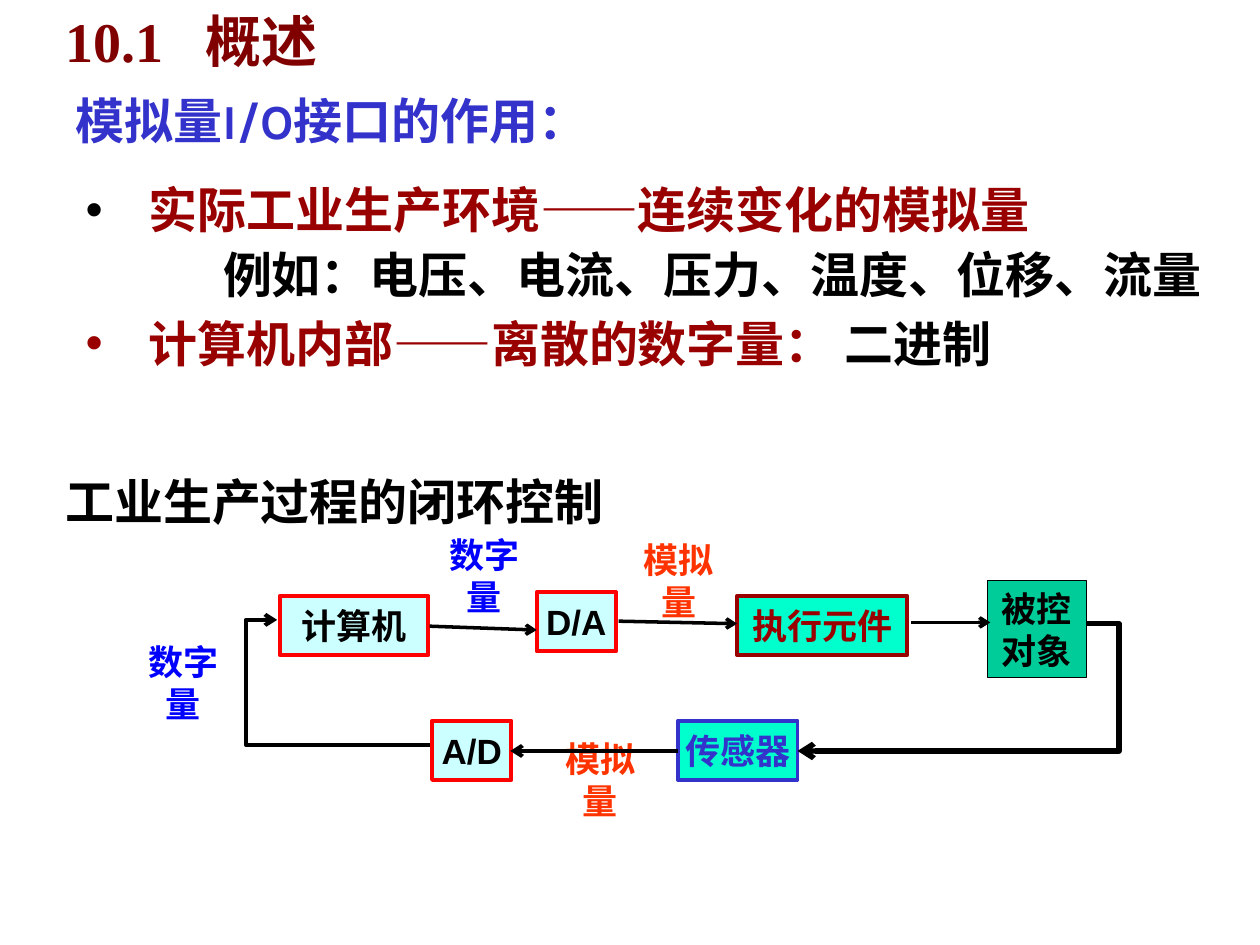
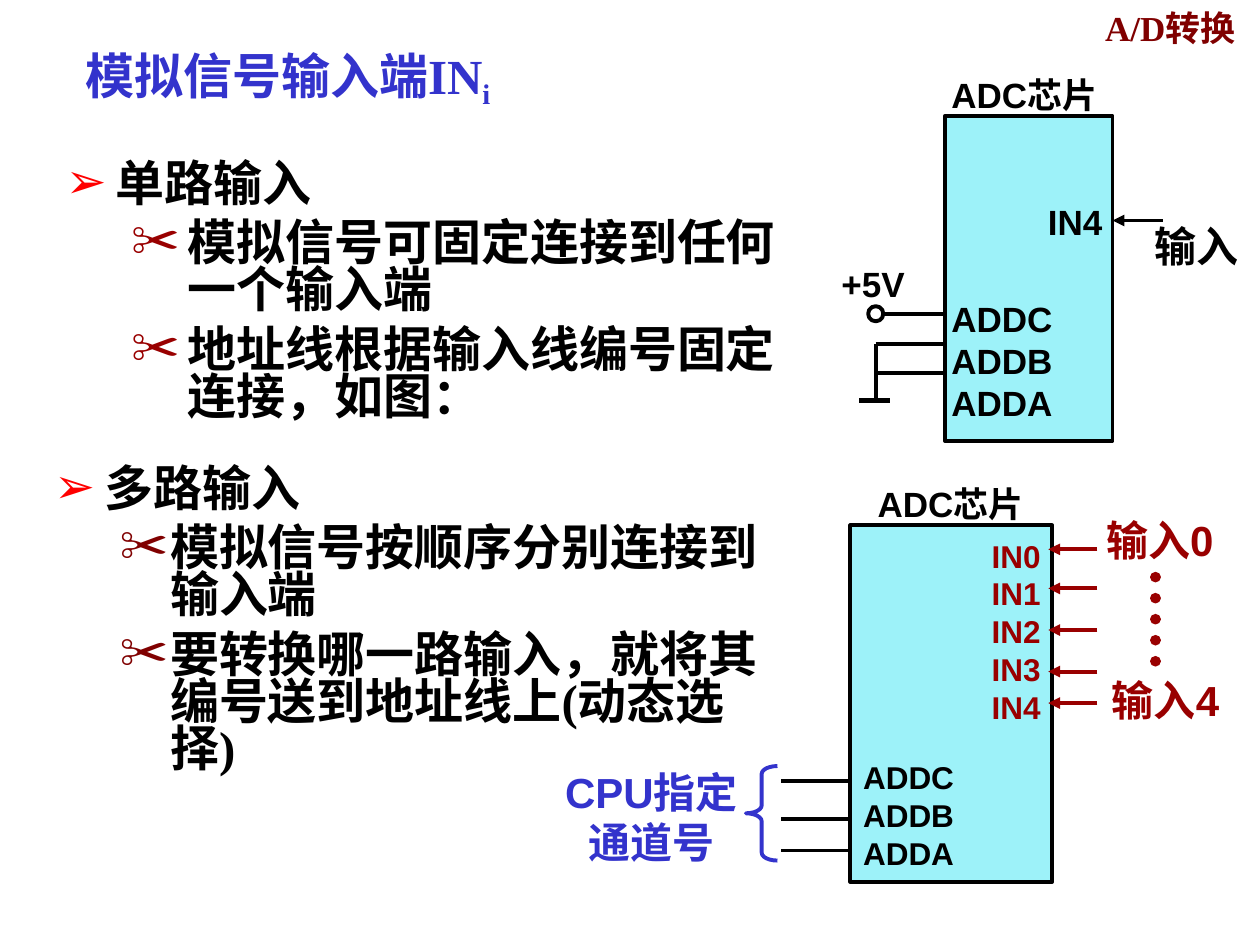
from dataclasses import dataclass, replace
from lxml.etree import SubElement
from pptx import Presentation
from pptx.dml.color import RGBColor as Rgb
from pptx.enum.dml import MSO_LINE as Dash
from pptx.enum.shapes import MSO_CONNECTOR as Link, MSO_SHAPE as Form
from pptx.enum.text import MSO_ANCHOR as Anchor, MSO_AUTO_SIZE as Auto, PP_ALIGN as Align
from pptx.oxml.ns import qn
from pptx.util import Pt

PX = 9144  # EMU in one px, 100 px to the inch


@dataclass(frozen=True)
class Theme:
    black: str = "000000"
    white: str = "FFFFFF"
    maroon: str = "800000"
    dark: str = "990000"
    red: str = "FF0000"
    orange: str = "FF3300"
    blue: str = "0000FF"
    navy: str = "3333CC"
    pale: str = "CCFFFF"
    mint: str = "00FFCC"
    green: str = "00CC99"
    aqua: str = "9DF2F9"
    serif: str = "Times New Roman"
    sans: str = "Arial"
    body: str = "Karla"
    huge: int = 32
    big: int = 28
    mid: int = 24
    base: int = 20
    small: int = 18
    thin: float = 2
    line: float = 2.25
    bold: float = 3


T = Theme()


@dataclass(frozen=True)
class Look:
    """Paragraph style; left, hang and tab are in px, gap is in points."""
    size: int = T.base
    color: str = T.black
    font: str = T.sans
    align: Align = Align.LEFT
    left: int = 0
    hang: int = 0
    tab: int = 0
    mark: str = ""
    tint: str = T.black
    lead: float = 1.0
    gap: float = 0
    level: int = 0


TAG = Look(align=Align.CENTER)
HEAD = Look(T.big, T.navy, T.body)
LIST = Look(T.big, font=T.body, left=50, hang=50, mark="•", lead=1.1)
ITEM = Look(T.big, font=T.serif, left=40, hang=40, mark="➢", tint=T.red, lead=0.8, gap=7)


class Deck:
    def __init__(self):
        self.prs = Presentation()
        self.prs.slide_width, self.prs.slide_height = 1000 * PX, 750 * PX

    def page(self, title, box, look):
        self.slide = self.prs.slides.add_slide(self.prs.slide_layouts[3])
        self.holder(0, box, [(title, look)])

    def holder(self, idx, box, paras):
        """Place a template placeholder and fill it."""
        item = self.slide.placeholders[idx]
        item.left, item.top, item.width, item.height = (n * PX for n in box)
        frame = item.text_frame
        frame.auto_size = Auto.NONE
        frame.vertical_anchor = Anchor.TOP
        self.put(frame, paras)

    def put(self, frame, paras):
        """Fill a frame from (runs, look) pairs; runs are text or (text, colour) pairs."""
        for i, (runs, look) in enumerate(paras):
            para = frame.add_paragraph() if i else frame.paragraphs[0]
            self.style(para, look, look.gap if i else 0)
            if isinstance(runs, str):
                runs = [(runs, None)]
            for text, color in runs:
                run = para.add_run()
                run.text = text
                if color:
                    run.font.color.rgb = Rgb.from_string(color)

    def style(self, para, look, gap):
        prop = para._p.get_or_add_pPr()
        if look.left:
            prop.set("marL", str(look.left * PX))
            prop.set("indent", str(-look.hang * PX))
            if look.mark:
                tint = SubElement(prop, qn("a:buClr"))
                SubElement(tint, qn("a:srgbClr"), val=look.tint)
                SubElement(prop, qn("a:buChar"), char=look.mark)
            else:
                SubElement(prop, qn("a:buNone"))
        if look.tab:
            tabs = SubElement(prop, qn("a:tabLst"))
            SubElement(tabs, qn("a:tab"), pos=str(look.tab * PX), algn="l")
        para.level = look.level
        para.alignment = look.align
        para.line_spacing = look.lead
        para.space_before = Pt(gap)
        font = para.font
        font.name, font.size, font.bold = look.font, Pt(look.size), True
        font.color.rgb = Rgb.from_string(look.color)

    def inset(self, frame, side, top):
        frame.margin_left = frame.margin_right = side * PX
        frame.margin_top = frame.margin_bottom = top * PX

    def text(self, box, text, look, pad=False, anchor=Anchor.TOP, wrap=True):
        """Add a text box, one paragraph a line, and return its frame."""
        frame = self.slide.shapes.add_textbox(*(n * PX for n in box)).text_frame
        frame.word_wrap = wrap
        frame.vertical_anchor = anchor
        self.inset(frame, *((10, 5) if pad else (0, 0)))
        self.put(frame, [(row, look) for row in text.split("\n")])
        return frame

    def shape(self, form, box, fill, edge, width=T.line):
        item = self.slide.shapes.add_shape(form, *(n * PX for n in box))
        item.shadow.inherit = False
        if fill:
            item.fill.solid()
            item.fill.fore_color.rgb = Rgb.from_string(fill)
        else:
            item.fill.background()
        item.line.color.rgb = Rgb.from_string(edge)
        item.line.width = Pt(width)
        return item

    def node(self, box, text, fill, edge, color=T.black, width=T.line, wrap=False):
        frame = self.shape(Form.RECTANGLE, box, fill, edge, width).text_frame
        frame.word_wrap = wrap
        frame.vertical_anchor = Anchor.MIDDLE
        self.inset(frame, *((10, 5) if wrap else (0, 0)))
        self.put(frame, [(text, replace(TAG, color=color))])

    def wire(self, start, end, width=T.line, color=T.black, tip="", turn=None, dots=False):
        """Draw a line; turn is the x of the upright part of an elbow."""
        kind = Link.STRAIGHT if turn is None else Link.ELBOW
        item = self.slide.shapes.add_connector(kind, *(n * PX for n in (*start, *end)))
        item.line.color.rgb = Rgb.from_string(color)
        item.line.width = Pt(width)
        prop = item._element.spPr
        line = prop.find(qn("a:ln"))
        if dots:
            item.line.dash_style = Dash.ROUND_DOT
            line.set("cap", "rnd")
        if tip:
            SubElement(line, qn("a:tailEnd"), type=tip)
        if turn is not None:
            bend = round(100000 * (turn - start[0]) / (end[0] - start[0]))
            guides = prop.find(qn("a:prstGeom")).find(qn("a:avLst"))
            SubElement(guides, qn("a:gd"), name="adj1", fmla=f"val {bend}")
        SubElement(prop, qn("a:effectLst"))


def loop(deck):
    """Slide 1: purpose of analog I/O and the closed control loop."""
    deck.page("10.1\t概述", (42, 0, 417, 58), Look(T.huge, T.maroon, T.serif, tab=111))
    deck.text((50, 67, 467, 57), "模拟量I/O接口的作用：", HEAD, pad=True)
    deck.holder(1, (58, 133, 942, 113), [
        ("实际工业生产环境——连续变化的模拟量", replace(LIST, color=T.dark)),
        ("例如：电压、电流、压力、温度、位移、流量", replace(LIST, left=109, hang=0, mark="")),
    ])
    deck.holder(2, (58, 239, 867, 62), [
        ([("计算机内部——离散的数字量： ", T.dark), ("二进制", T.black)],
         replace(LIST, tint=T.dark)),
    ])
    deck.text((42, 365, 500, 62), "工业生产过程的闭环控制",
              replace(HEAD, color=T.black, lead=1.1), pad=True)

    for box, name, fill, edge, color in (
        ((222, 473, 118, 47), "计算机", T.pale, T.red, T.black),
        ((426, 470, 63, 47), "D/A", T.pale, T.red, T.black),
        ((585, 473, 135, 47), "执行元件", T.mint, T.dark, T.dark),
        ((538, 572, 95, 47), "传感器", T.mint, T.navy, T.navy),
        ((343, 572, 63, 47), "A/D", T.pale, T.red, T.black),
    ):
        deck.node(box, name, fill, edge, color)
    deck.node((784, 461, 78, 77), "被控对象", T.green, T.black, width=0.5, wrap=True)

    for left, top, name, color in (
        (106, 526, "数字量", T.blue), (345, 441, "数字量", T.blue),
        (499, 445, "模拟量", T.orange), (437, 603, "模拟量", T.orange),
    ):
        deck.text((left, top, 79, 32), name, replace(TAG, color=color),
                  anchor=Anchor.MIDDLE, wrap=False)

    for start, end, width, turn in (
        ((341, 497), (426, 500), T.thin, None),
        ((491, 493), (585, 495), T.thin, None),
        ((723, 494), (786, 494), T.thin, None),
        ((862, 495), (633, 596), T.bold, 888),
        ((538, 596), (405, 596), T.line, None),
        ((341, 591), (220, 492), T.line, 195),
    ):
        deck.wire(start, end, width, tip="arrow", turn=turn)


def single(deck):
    """Upper chip: one input, address pins tied to fixed levels."""
    deck.shape(Form.RECTANGLE, (750, 92, 133, 258), T.aqua, T.black)
    for y in (249, 273, 296):
        deck.wire((695, y), (750, y))
    deck.wire((695, 273), (695, 320))
    deck.wire((682, 318), (706, 318), T.bold)
    deck.wire((923, 175), (883, 175), tip="triangle")
    deck.shape(Form.OVAL, (689, 243, 12, 12), T.white, T.black)
    deck.text((755, 236, 112, 100), "ADDC\nADDB\nADDA", Look())
    deck.text((821, 159, 54, 33), "IN4", Look(align=Align.RIGHT))
    deck.text((742, 58, 142, 33), "ADC芯片", TAG)
    deck.text((900, 175, 100, 40), "输入", replace(TAG, size=T.mid))
    deck.text((658, 208, 70, 33), "+5V", TAG)


def multi(deck):
    """Lower chip: five inputs, channel chosen over the address pins."""
    deck.shape(Form.RECTANGLE, (675, 417, 160, 283), T.aqua, T.black)
    for y in (620, 650, 675):
        deck.wire((620, y), (675, y))
    for y in (436, 467, 500, 533, 558):
        deck.wire((871, y), (832, y), color=T.dark, tip="triangle")
    deck.wire((917, 458), (917, 533), 6, T.dark, dots=True)
    deck.text((685, 602, 124, 90), "ADDC\nADDB\nADDA", Look(T.small))
    pins = "\n".join(f"IN{n}" for n in range(5))
    deck.text((750, 426, 76, 150), pins, Look(T.small, T.dark, align=Align.RIGHT))
    deck.text((667, 383, 175, 33), "ADC芯片", TAG)
    port = replace(TAG, size=T.mid, color=T.dark)
    deck.text((858, 408, 125, 40), "输入0", port)
    deck.text((850, 535, 150, 40), "输入4", port)
    brace = deck.shape(Form.LEFT_BRACE, (592, 608, 25, 75), None, T.navy)
    brace.adjustments[0] = 0.25
    deck.text((434, 608, 166, 80), "CPU指定\n通道号", replace(port, color=T.navy))


def inputs(deck):
    """Slide 2: single and multiple analog inputs."""
    deck.page("A/D转换", (867, 0, 133, 42), Look(T.base, T.maroon, T.serif))
    head = deck.text((58, 31, 392, 61), "模拟信号输入端IN",
                     replace(HEAD, font=T.serif), pad=True)
    sub = head.paragraphs[0].add_run()
    sub.text = "i"
    sub._r.get_or_add_rPr().set("baseline", "-20000")

    step = replace(ITEM, left=97, hang=45, mark="✂", tint=T.dark, level=1)
    deck.holder(1, (42, 125, 617, 217), [
        ("单路输入", ITEM),
        ("模拟信号可固定连接到任何一个输入端", step),
        ("地址线根据输入线编号固定连接，如图：", step),
    ])
    step = replace(step, left=92, hang=40, tint=T.maroon)
    deck.holder(2, (33, 367, 592, 225), [
        ("多路输入", ITEM),
        ("模拟信号按顺序分别连接到输入端", step),
        ("要转换哪一路输入，就将其编号送到地址线上(动态选择)", step),
    ])
    single(deck)
    multi(deck)


def main():
    deck = Deck()
    loop(deck)
    inputs(deck)
    deck.prs.save("out.pptx")


if __name__ == "__main__":
    main()
